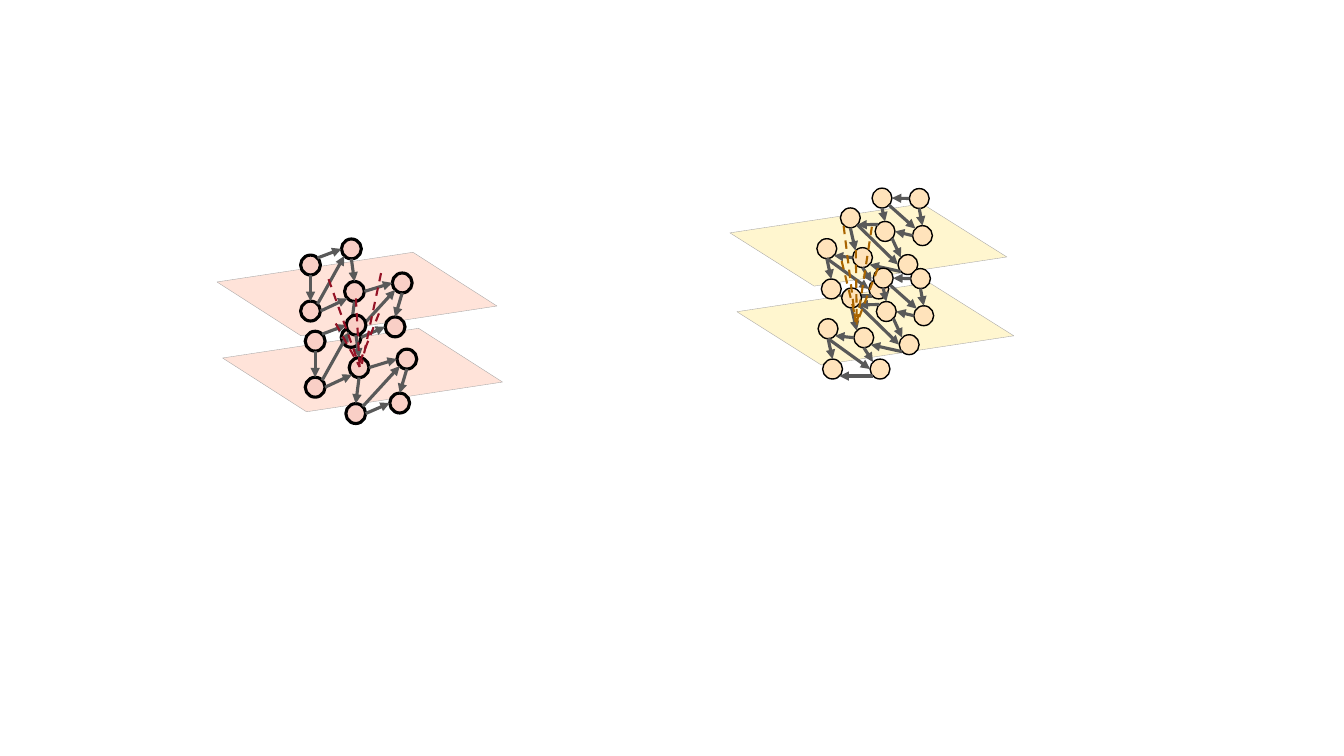
from math import sqrt

from lxml.etree import SubElement
from pptx import Presentation
from pptx.dml.color import RGBColor
from pptx.enum.dml import MSO_LINE
from pptx.enum.shapes import MSO_CONNECTOR, MSO_SHAPE
from pptx.oxml.ns import qn
from pptx.util import Pt

BLACK = RGBColor(0x00, 0x00, 0x00)
ARROW_GRAY = RGBColor(0x59, 0x59, 0x59)
PLANE_GRAY = RGBColor(0xA6, 0xA6, 0xA6)
PINK = RGBColor(0xF9, 0xCF, 0xC6)
PALE_PINK = RGBColor(0xFF, 0xE3, 0xD9)
DARK_RED = RGBColor(0x94, 0x12, 0x25)
PEACH = RGBColor(0xFF, 0xE3, 0xBB)
PALE_YELLOW = RGBColor(0xFF, 0xF6, 0xCF)
BROWN = RGBColor(0xAA, 0x65, 0x00)

NODE_SIZE = 14.2
RADIUS = NODE_SIZE / 2
DIAGONAL = RADIUS / sqrt(2)
SITES = {
    "N": (0, -RADIUS), "E": (RADIUS, 0), "S": (0, RADIUS), "W": (-RADIUS, 0),
    "NE": (DIAGONAL, -DIAGONAL), "SE": (DIAGONAL, DIAGONAL),
    "SW": (-DIAGONAL, DIAGONAL), "NW": (-DIAGONAL, -DIAGONAL),
}

# Each network: upper plane and graph, plus the shifts to the lower ones
PINK_NETWORK = {
    "plane": [(155, 201.4), (295, 180.2), (355, 218.6), (215, 239.8)],
    "plane_shift": (4, 54.3),
    "node_shift": (3.3, 54.4),
    "nodes": {
        "A": (221.8, 189.3), "D": (287.3, 202.1), "C": (253.2, 208.2),
        "E": (221.8, 222.2), "F": (250.8, 241), "B": (251, 177.8),
        "G": (282.2, 233.5),
    },
    "edges": [
        "A NE B W", "A S E N", "E E C SW", "B S C N", "C E D W",
        "C S F N", "F E G W", "D S G N", "E NE B SW", "F NE D SW",
    ],
    "dashes": [
        ((234.7, 199.4), (257, 262.1)), ((272.2, 195.1), (258.5, 259.9)),
        ((239.8, 231.1), (257, 262.1)), ((270.7, 223.9), (256.3, 260.6)),
        ((254.2, 213.1), (257, 264.2)),
    ],
    "style": {"plane": PALE_PINK, "node": PINK, "outline": 2.25, "dash": DARK_RED},
}
YELLOW_NETWORK = {
    "plane": [(521.4, 166.4), (658.8, 145.6), (719.2, 183.6), (581.6, 204.4)],
    "plane_shift": (5, 56.3),
    "node_shift": (0.9, 57.2),
    "nodes": {
        "A": (630, 141.5), "B": (656.6, 141.8), "C": (658.9, 168.3),
        "D": (632.2, 165.3), "E": (616.1, 184), "F": (590.6, 177.6),
        "G": (607.4, 155.6), "H": (627.7, 206.4), "I": (593.8, 206.4),
        "J": (648.5, 189),
    },
    "edges": [
        "D SE J NW", "B W A E", "B S C N", "A SE C NW", "A S D N",
        "C W D E", "D NW G SE", "G SE J W", "G S E NW", "J SW E SE",
        "E W F SE", "E S H NW", "F S H W", "F S I N", "H SW I SE",
    ],
    "dashes": [
        ((602.6, 161.3), (611.3, 231.1)), ((601.2, 186.5), (612, 230.4)),
        ((611.3, 178.6), (612, 231.8)), ((622.8, 162), (612, 231.8)),
        ((627.1, 191.5), (612, 231.1)),
    ],
    "style": {"plane": PALE_YELLOW, "node": PEACH, "outline": 1, "dash": BROWN},
}


def shifted(point, shift):
    return point[0] + shift[0], point[1] + shift[1]


class NetworkDrawer:
    """Draws layered networks on the current slide."""

    def __init__(self, slide):
        self.slide = slide
        self.group = None
        self.style = {}

    def format_line(self, line, color, **format_values):
        line.color.rgb = color
        for name, value in format_values.items():
            setattr(line, name, value)

    def format_shape(self, shape, fill, color, width):
        shape.shadow.inherit = False
        shape.fill.solid()
        shape.fill.fore_color.rgb = fill
        self.format_line(shape.line, color, width=Pt(width))

    def plane(self, corners):
        points = [(Pt(x), Pt(y)) for x, y in corners]
        builder = self.group.shapes.build_freeform(*points[0])
        builder.add_line_segments(points[1:], close=True)
        shape = builder.convert_to_shape()
        self.format_shape(shape, self.style["plane"], PLANE_GRAY, 0.25)

    def node(self, center):
        left, top = shifted(center, (-RADIUS, -RADIUS))
        shape = self.group.shapes.add_shape(
            MSO_SHAPE.OVAL, Pt(left), Pt(top), Pt(NODE_SIZE), Pt(NODE_SIZE))
        self.format_shape(shape, self.style["node"], BLACK, self.style["outline"])

    def line(self, start, end, color, **format_values):
        connector = self.group.shapes.add_connector(
            MSO_CONNECTOR.STRAIGHT, *(Pt(value) for value in (*start, *end)))
        self.format_line(connector.line, color, **format_values)
        SubElement(connector._element.spPr, qn("a:effectLst"))
        return connector

    def arrow(self, start, end):
        connector = self.line(start, end, ARROW_GRAY, width=Pt(2.25))
        outline = connector.line._get_or_add_ln()
        SubElement(outline, qn("a:tailEnd"), type="triangle")

    def dash(self, start, end):
        self.line(start, end, self.style["dash"],
                  width=Pt(1.5), dash_style=MSO_LINE.DASH)

    def graph(self, nodes, edges, shift):
        centers = {name: shifted(center, shift) for name, center in nodes.items()}
        for center in centers.values():
            self.node(center)
        for edge in edges:
            source, source_site, target, target_site = edge.split()
            self.arrow(shifted(centers[source], SITES[source_site]),
                       shifted(centers[target], SITES[target_site]))

    def network(self, network):
        self.group = self.slide.shapes.add_group_shape()
        self.style = network["style"]
        # Lower plane first, so the upper one lies over it
        for shift in (network["plane_shift"], (0, 0)):
            self.plane([shifted(corner, shift) for corner in network["plane"]])
        # Upper graph, then lower graph
        for shift in ((0, 0), network["node_shift"]):
            self.graph(network["nodes"], network["edges"], shift)
        # Dashed links between the layers
        for start, end in network["dashes"]:
            self.dash(start, end)


def main():
    presentation = Presentation()
    presentation.slide_width = Pt(960)
    presentation.slide_height = Pt(540)
    slide = presentation.slides.add_slide(presentation.slide_layouts[6])
    drawer = NetworkDrawer(slide)
    for network in (PINK_NETWORK, YELLOW_NETWORK):
        drawer.network(network)
    presentation.save("out.pptx")


if __name__ == "__main__":
    main()
